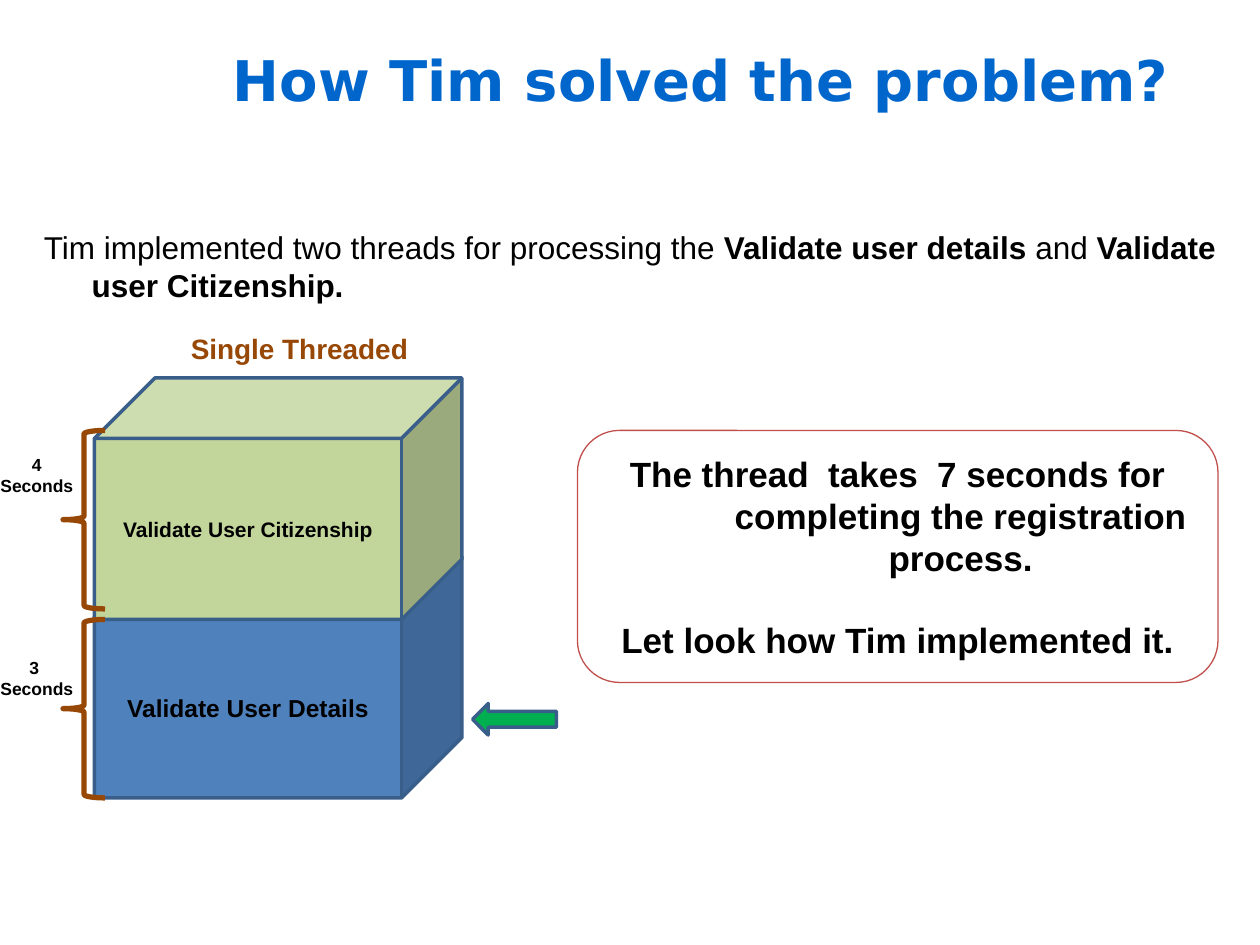
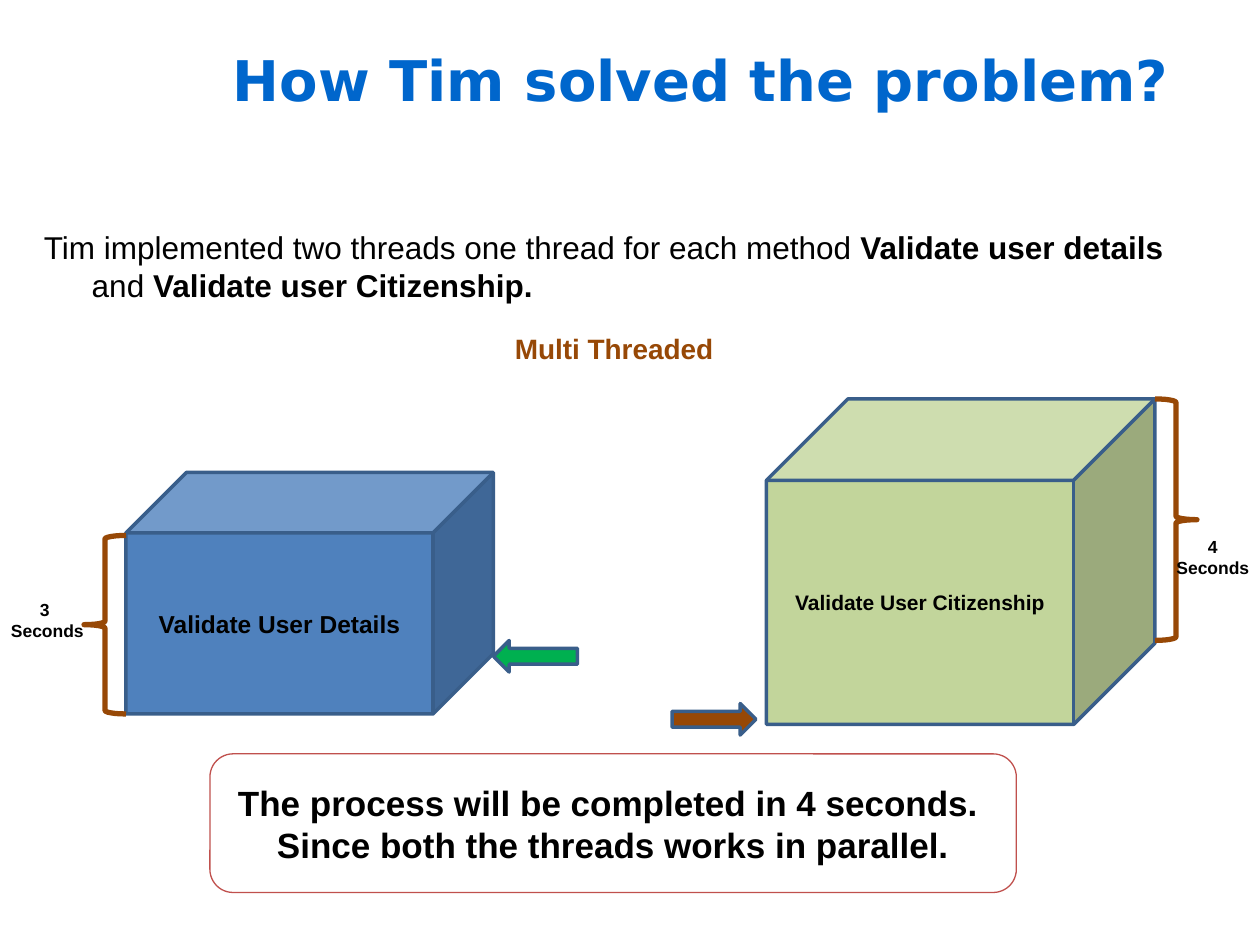
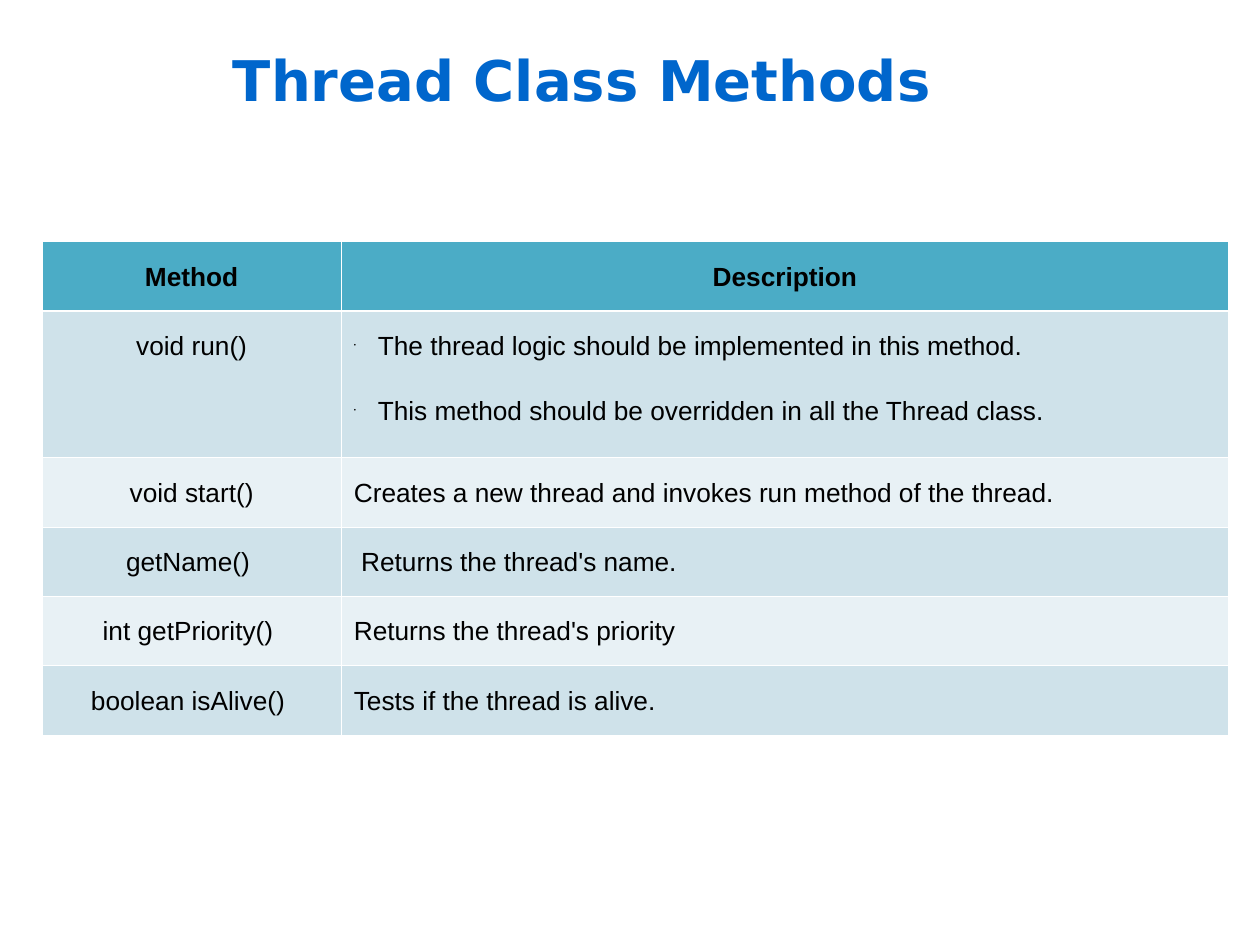
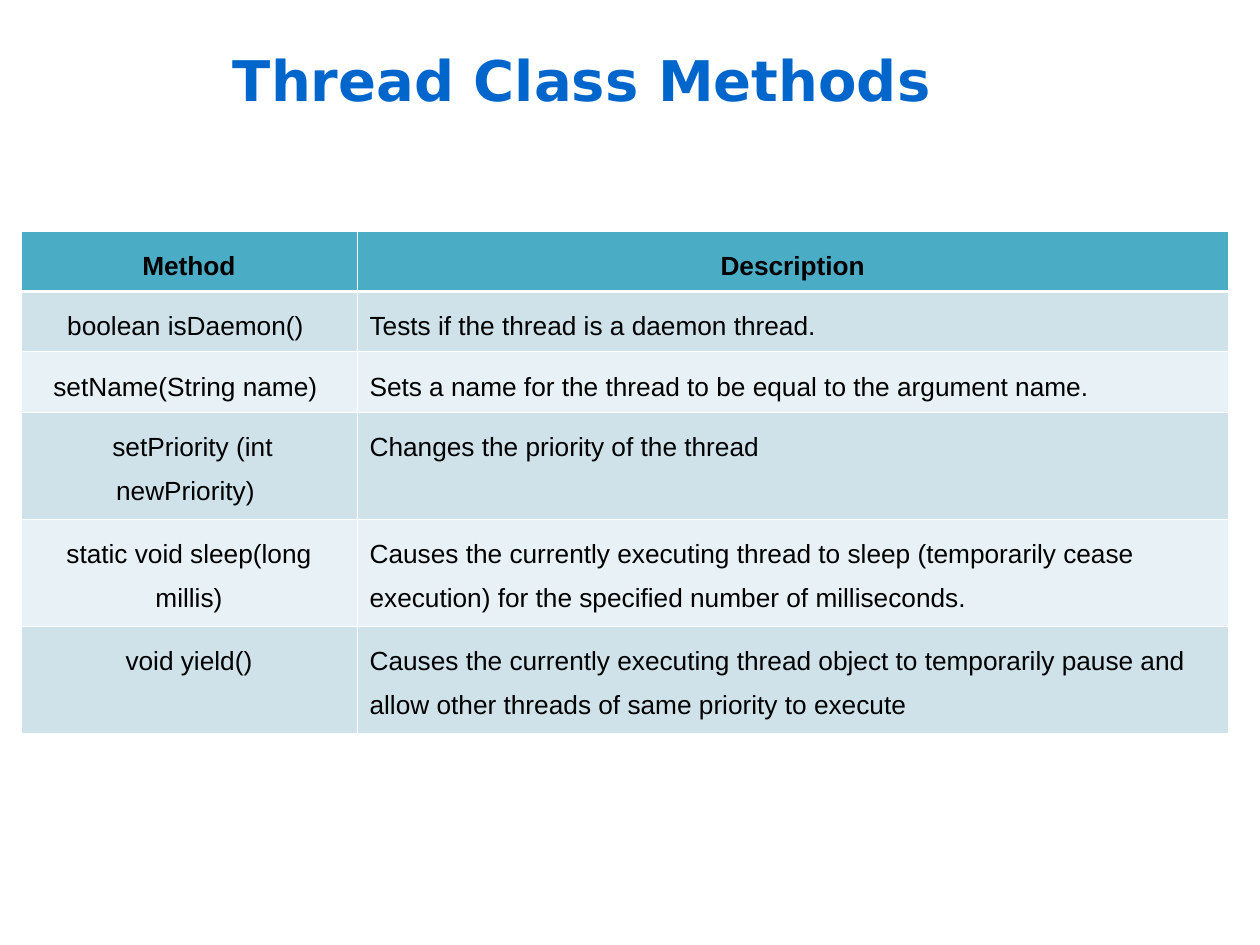
from dataclasses import dataclass
from typing import NamedTuple

from lxml import etree
from pptx import Presentation
from pptx.dml.color import RGBColor
from pptx.enum.shapes import MSO_SHAPE
from pptx.enum.text import MSO_ANCHOR, PP_ALIGN
from pptx.oxml.ns import qn
from pptx.util import Inches, Pt

CUBE, ROUNDED = MSO_SHAPE.CUBE, MSO_SHAPE.ROUNDED_RECTANGLE
LEFT_BRACE, RIGHT_BRACE = MSO_SHAPE.LEFT_BRACE, MSO_SHAPE.RIGHT_BRACE
LEFT_ARROW, RIGHT_ARROW = MSO_SHAPE.LEFT_ARROW, MSO_SHAPE.RIGHT_ARROW
LEFT, CENTER = PP_ALIGN.LEFT, PP_ALIGN.CENTER
TOP, MIDDLE = MSO_ANCHOR.TOP, MSO_ANCHOR.MIDDLE

BLACK = RGBColor(0x00, 0x00, 0x00)
WHITE = RGBColor(0xFF, 0xFF, 0xFF)
TITLE_BLUE = RGBColor(0x00, 0x66, 0xCC)
DETAILS_BLUE = RGBColor(0x4F, 0x81, 0xBD)
CITIZEN_GREEN = RGBColor(0xC2, 0xD5, 0x9B)
EDGE_BLUE = RGBColor(0x39, 0x5E, 0x8A)
ARROW_GREEN = RGBColor(0x00, 0xB0, 0x50)
BROWN = RGBColor(0x97, 0x48, 0x06)
NOTE_RED = RGBColor(0xC0, 0x50, 0x4D)
HEADER_TEAL = RGBColor(0x4B, 0xAC, 0xC6)
BANDS = (RGBColor(0xCF, 0xE2, 0xEA), RGBColor(0xE8, 0xF1, 0xF5))

BODY_FONT, TITLE_FONT = "Arial", "DejaVu Sans"

# The slide is a grid of 120 columns by 90 rows of square cells
COLUMNS, ROWS = 120, 90
CELL = Inches(10) // COLUMNS


class Place(NamedTuple):
    """Left, top, width and height in grid cells."""
    left: float
    top: float
    width: float
    height: float

    def lengths(self) -> list[int]:
        return [round(value * CELL) for value in self]


class Span(NamedTuple):
    text: str
    bold: bool = True


@dataclass(frozen=True)
class TextStyle:
    size: float
    color: RGBColor = BLACK
    font: str = BODY_FONT
    bold: bool = True
    align: PP_ALIGN = CENTER
    hanging: float = 0  # inches
    line_spacing: float = 1.0
    gap: float = 0  # points before each paragraph but the first
    bullet: str = ""


@dataclass(frozen=True)
class Figure:
    kind: MSO_SHAPE
    place: Place
    fill: RGBColor | None
    line: RGBColor
    weight: float
    lines: tuple[str, ...] = ()
    style: TextStyle = TextStyle(14, hanging=1)


@dataclass(frozen=True)
class MethodTable:
    left: float
    top: float
    widths: tuple[float, ...]
    heights: tuple[float, ...]
    methods: tuple[tuple[str, tuple[str, ...]], ...]


TITLE_PLACE = Place(21, 0, 99, 15)
STATEMENT_PLACE = Place(3, 21.12, 114, 9)
TITLE_STYLE = TextStyle(32, TITLE_BLUE, TITLE_FONT, align=LEFT)
STATEMENT_STYLE = TextStyle(18, align=LEFT, hanging=0.38)
SECONDS_STYLE = TextStyle(10, hanging=1)
CELL_STYLE = TextStyle(15, bold=False, line_spacing=1.5, gap=12)
HEADER_STYLE = TextStyle(15, line_spacing=1.5)
DESCRIPTION_STYLE = TextStyle(15, bold=False, align=LEFT, line_spacing=1.5)
BULLET_STYLE = TextStyle(15, bold=False, align=LEFT, hanging=0.19,
                         line_spacing=1.5, gap=12, bullet="•")


# Text
def add_bullet(properties, mark: str) -> None:
    color = etree.SubElement(properties, qn("a:buClr"))
    etree.SubElement(color, qn("a:srgbClr"), val=str(BLACK))
    etree.SubElement(properties, qn("a:buSzPct"), val="25000")
    etree.SubElement(properties, qn("a:buChar"), char=mark)


def write(frame, lines, style: TextStyle) -> None:
    """Write each line, a string or a list of spans, as one paragraph."""
    for index, line in enumerate(lines):
        para = frame.add_paragraph() if index else frame.paragraphs[0]
        para.alignment = style.align
        para.line_spacing = style.line_spacing
        if index and style.gap:
            para.space_before = Pt(style.gap)
        properties = para._p.get_or_add_pPr()
        if style.hanging:
            properties.set("marL", str(Inches(style.hanging)))
            properties.set("indent", str(-Inches(style.hanging)))
        if style.bullet:
            add_bullet(properties, style.bullet)
        if isinstance(line, str):
            para.add_run().text = line
            para.font.bold = style.bold
        else:
            for span in line:
                run = para.add_run()
                run.text = span.text
                run.font.bold = span.bold
        para.font.name = style.font
        para.font.size = Pt(style.size)
        para.font.color.rgb = style.color


def add_text(page, place: Place, lines, style: TextStyle, anchor=TOP) -> None:
    frame = page.shapes.add_textbox(*place.lengths()).text_frame
    frame.word_wrap = True
    frame.vertical_anchor = anchor
    write(frame, lines, style)


# Shapes
def add_figure(page, figure: Figure) -> None:
    shape = page.shapes.add_shape(figure.kind, *figure.place.lengths())
    shape.shadow.inherit = False
    if figure.fill is None:
        shape.fill.background()
    else:
        shape.fill.solid()
        shape.fill.fore_color.rgb = figure.fill
    shape.line.color.rgb = figure.line
    shape.line.width = Pt(figure.weight)
    if figure.lines:
        shape.text_frame.word_wrap = True
        shape.text_frame.vertical_anchor = MIDDLE
        write(shape.text_frame, figure.lines, figure.style)


def details_cube(left: float, top: float) -> Figure:
    return Figure(CUBE, Place(left, top, 35, 23), DETAILS_BLUE, EDGE_BLUE, 2,
                  ("Validate User Details",))


def citizenship_cube(place: Place) -> Figure:
    return Figure(CUBE, place, CITIZEN_GREEN, EDGE_BLUE, 2,
                  ("Validate User Citizenship",), TextStyle(12, hanging=1))


def brace(kind: MSO_SHAPE, left: float, top: float, height: float = 17) -> Figure:
    return Figure(kind, Place(left, top, 4, height), None, BROWN, 3)


def arrow(kind: MSO_SHAPE, left: float, top: float, fill: RGBColor) -> Figure:
    return Figure(kind, Place(left, top, 8, 3), fill, EDGE_BLUE, 2)


def note(place: Place, lines: tuple[str, ...], gap: float = 0) -> Figure:
    return Figure(ROUNDED, place, WHITE, NOTE_RED, 0.75, lines,
                  TextStyle(20, hanging=1, gap=gap))


def add_seconds(page, left: float, top: float, count: str) -> None:
    add_text(page, Place(left, top, 15, 5.25), [count, "Seconds"], SECONDS_STYLE)


# Table
def set_borders(cell, top: float, bottom: float) -> None:
    properties = cell._tc.get_or_add_tcPr()
    for side, weight in (("L", 0.45), ("R", 0.45), ("T", top), ("B", bottom)):
        line = etree.SubElement(properties, qn(f"a:ln{side}"), w=str(Pt(weight)))
        fill = etree.SubElement(line, qn("a:solidFill"))
        etree.SubElement(fill, qn("a:srgbClr"), val=str(WHITE))


def fill_cell(cell, row: int, lines, style: TextStyle) -> None:
    set_borders(cell, top=1.47 if row == 1 else 0.45,
                bottom=1.47 if row == 0 else 0.45)
    cell.fill.solid()
    cell.fill.fore_color.rgb = BANDS[(row - 1) % 2] if row else HEADER_TEAL
    write(cell.text_frame, lines, style)


def add_methods(page, spec_table: MethodTable) -> None:
    place = Place(spec_table.left, spec_table.top,
                  sum(spec_table.widths), sum(spec_table.heights))
    count = len(spec_table.heights)
    table = page.shapes.add_table(count, 2, *place.lengths()).table
    table.horz_banding = False
    for column, width in zip(table.columns, spec_table.widths):
        column.width = round(width * CELL)
    for row, height in zip(table.rows, spec_table.heights):
        row.height = round(height * CELL)
    for column, heading in enumerate(("Method", "Description")):
        fill_cell(table.cell(0, column), 0, [heading], HEADER_STYLE)
    for row, (method, points) in enumerate(spec_table.methods, start=1):
        style = BULLET_STYLE if len(points) > 1 else DESCRIPTION_STYLE
        fill_cell(table.cell(row, 0), row, [method], CELL_STYLE)
        fill_cell(table.cell(row, 1), row, points, style)


# Slides
def add_page(deck, title: str):
    page = deck.slides.add_slide(deck.slide_layouts[6])
    add_text(page, TITLE_PLACE, [title], TITLE_STYLE, MIDDLE)
    return page


def add_solution(deck, statement: list[Span], heading: str, heading_left: float,
                 heading_align: PP_ALIGN, figures: list[Figure],
                 seconds: list[tuple[float, float, str]]) -> None:
    page = add_page(deck, "How Tim solved the problem?")
    add_text(page, STATEMENT_PLACE, [statement], STATEMENT_STYLE)
    add_text(page, Place(heading_left, 31, 25, 5), [heading],
             TextStyle(16, BROWN, align=heading_align, hanging=0.38))
    for figure in figures:
        add_figure(page, figure)
    for left, top, count in seconds:
        add_seconds(page, left, top, count)


BASIC_METHODS = MethodTable(
    4, 23, (28.5, 84.5), (6.6, 14, 6.6, 6.6, 6.6, 6.6),
    (
        ("void run()", ("The thread logic should be implemented in this method.",
                        "This method should be overridden in all the Thread class.")),
        ("void start()",
         ("Creates a new thread and invokes run method of the thread.",)),
        ("getName() ", (" Returns the thread's name.",)),
        ("int getPriority() ", ("Returns the thread's priority",)),
        ("boolean isAlive() ", ("Tests if the thread is alive.",)),
    ))

CONTROL_METHODS = MethodTable(
    2, 22, (32, 83), (5.75, 5.75, 5.75, 10.2, 10.2, 10.2),
    (
        ("boolean isDaemon() ", ("Tests if the thread is a daemon thread.",)),
        ("setName(String name) ",
         ("Sets a name for the thread to be equal to the argument name.",)),
        (" setPriority (int newPriority) ", ("Changes the priority of the thread",)),
        ("static void sleep(long millis)",
         ("Causes the currently executing thread to sleep (temporarily cease "
          "execution) for the specified number of milliseconds.",)),
        ("void yield()",
         ("Causes the currently executing thread object to temporarily pause and "
          "allow other threads of same priority to execute",)),
    ))


def main() -> None:
    deck = Presentation()
    deck.slide_width, deck.slide_height = COLUMNS * CELL, ROWS * CELL
    method_names = [Span("Validate user details"), Span(" and ", False),
                    Span("Validate user Citizenship.")]

    # One thread does both jobs in turn
    add_solution(
        deck,
        [Span("Tim implemented two threads for processing the ", False), *method_names],
        "Single Threaded", 17, LEFT,
        [
            details_cube(9, 53),
            citizenship_cube(Place(9, 36, 35, 23)),
            brace(LEFT_BRACE, 6, 59),
            brace(LEFT_BRACE, 6, 41),
            arrow(LEFT_ARROW, 45, 67, ARROW_GREEN),
            note(Place(55, 41, 61, 24),
                 ("The thread  takes  7 seconds for completing the registration process.",
                  "Let look how Tim implemented it."), gap=23),
        ],
        [(-4, 62, "3 "), (-4, 42.6, "4")])

    # Two threads side by side
    add_solution(
        deck,
        [Span("Tim implemented two threads one thread for each method ", False),
         *method_names],
        "Multi Threaded", 46, CENTER,
        [
            details_cube(12, 45),
            citizenship_cube(Place(73, 38, 37, 31)),
            brace(LEFT_BRACE, 8, 51),
            brace(RIGHT_BRACE, 110, 38, 23),
            arrow(LEFT_ARROW, 47, 61, ARROW_GREEN),
            arrow(RIGHT_ARROW, 64, 67, BROWN),
            note(Place(20, 71.8, 76.8, 13.2),
                 ("The process will be completed in 4 seconds. ",
                  "Since both the threads works in parallel.")),
        ],
        [(-3, 56.5, "3 "), (108, 50.5, "4")])

    # Method lists
    for methods in (BASIC_METHODS, CONTROL_METHODS):
        add_methods(add_page(deck, "Thread Class Methods"), methods)

    deck.save("out.pptx")


if __name__ == "__main__":
    main()
